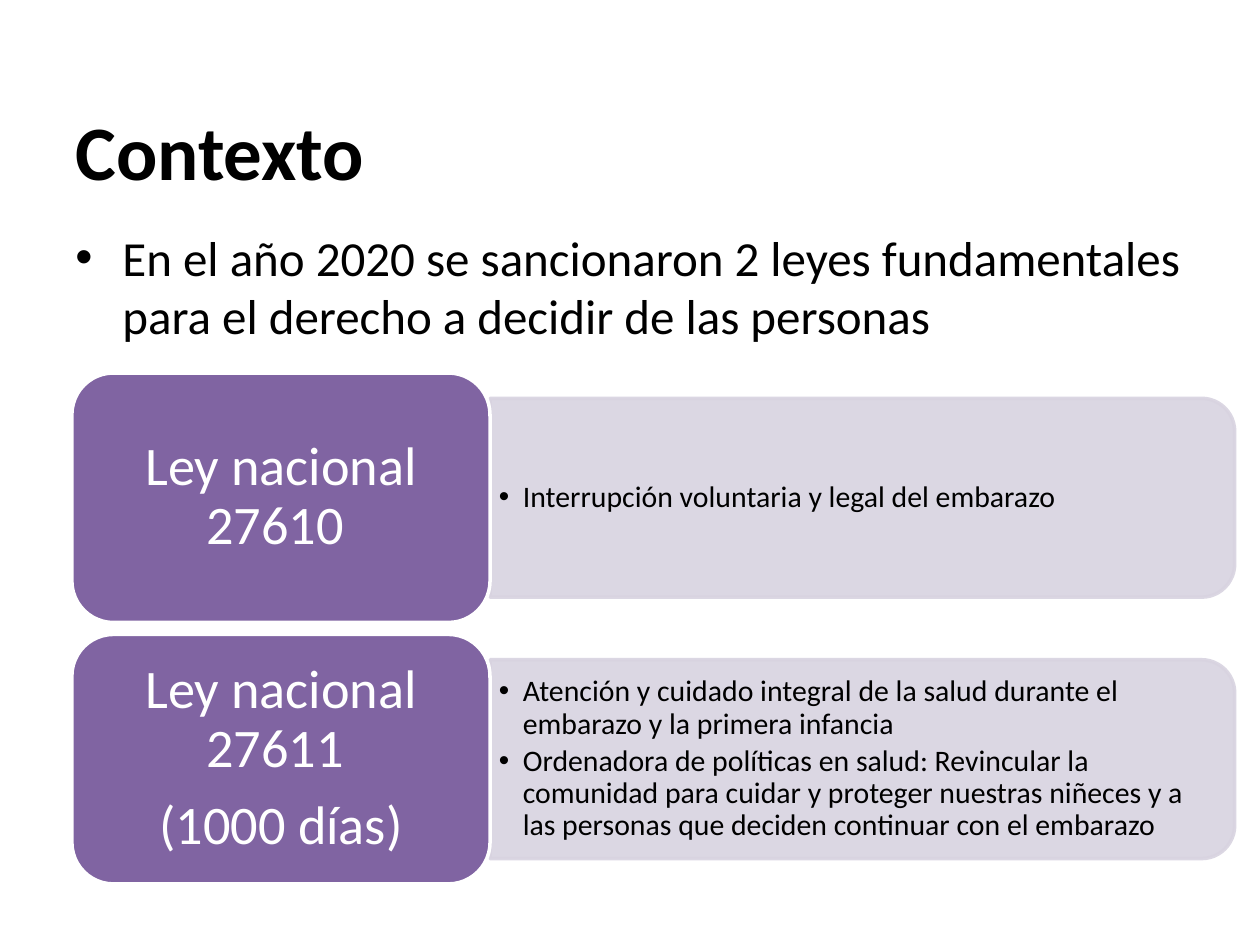
from lxml.etree import SubElement
from pptx import Presentation
from pptx.dml.color import RGBColor
from pptx.enum.shapes import MSO_SHAPE as Shape
from pptx.enum.text import MSO_ANCHOR as Anchor, PP_ALIGN as Align
from pptx.oxml.ns import qn
from pptx.util import Cm, Pt

PURPLE, LILAC, WHITE, BLACK = "8064A2", "D8D3E0", "FFFFFF", "000000"


def paint(target, color, opacity=100):
    """Give a fill or a font a solid colour."""
    fill = getattr(target, "fill", target)
    fill.solid()
    fill.fore_color.rgb = RGBColor.from_string(color)
    if opacity < 100:
        for element in shape._element.spPr.iter(qn("a:srgbClr")):
            if len(element) == 0:
                SubElement(element, qn("a:alpha"), val=str(opacity * 1000))


def add_text(box, texts, size, color=BLACK, bold=False, anchor=Anchor.MIDDLE,
             insets=(0.25, 0.13), align=Align.LEFT, indent=0, before=0, after=0, spacing=1.0):
    """Add a wrapped text box; an indent in cm makes bulleted paragraphs."""
    frame = slide.shapes.add_textbox(*map(Cm, box)).text_frame
    frame.word_wrap = True
    frame.vertical_anchor = anchor
    frame.margin_left = frame.margin_right = Cm(insets[0])
    frame.margin_top = frame.margin_bottom = Cm(insets[1])
    for number, text in enumerate(texts):
        paragraph = frame.add_paragraph() if number else frame.paragraphs[0]
        paragraph.text = text
        paragraph.alignment = align
        paragraph.line_spacing = spacing
        paragraph.space_before, paragraph.space_after = Pt(before), Pt(after)
        paragraph.font.name, paragraph.font.size = "Calibri", Pt(size)
        paragraph.font.bold = bold
        paint(paragraph.font, color)
        if indent:
            properties = paragraph._p.get_or_add_pPr()
            properties.set("marL", str(Cm(indent)))
            properties.set("indent", str(-Cm(indent)))
            bullet_font = SubElement(properties, qn("a:buFont"), typeface="Arial")
            bullet = SubElement(properties, qn("a:buChar"), char="•")
            default_font = properties.find(qn("a:defRPr"))
            default_font.addprevious(bullet_font)
            default_font.addprevious(bullet)


presentation = Presentation()
presentation.slide_width, presentation.slide_height = Cm(25.4), Cm(19.05)
slide = presentation.slides.add_slide(presentation.slide_layouts[6])

# Title and introduction
add_text((1.27, 1.73, 22.86, 2.59), ["Contexto"], 44, bold=True)
add_text((1.27, 4.45, 22.86, 12.57),
         ["En el año 2020 se sancionaron 2 leyes fundamentales para el derecho a decidir "
          "de las personas"],
         28, anchor=Anchor.TOP, indent=0.95, before=5.6)

# One row per law: name on the left, contents on the right
laws = [
    (["Ley nacional 27610 "],
     ["Interrupción voluntaria y legal del embarazo"]),
    (["Ley nacional 27611 ", "(1000 días)"],
     ["Atención y cuidado integral de la salud durante el embarazo y la primera infancia",
      "Ordenadora de políticas en salud: Revincular la comunidad para cuidar y proteger "
      "nuestras niñeces y a las personas que deciden continuar con el embarazo"]),
]
LEFT, FIRST_TOP, ROW_STEP = 1.45, 7.52, 5.27
NAME_WIDTH, NAME_HEIGHT = 8.43, 5.03
BAR_LENGTH, BAR_HEIGHT = 15.01, 4.01
bar_left = LEFT + NAME_WIDTH

for row, (name, contents) in enumerate(laws):
    top = FIRST_TOP + row * ROW_STEP
    middle = top + NAME_HEIGHT / 2

    # Contents bar, turned so that its rounded end points right
    shape = slide.shapes.add_shape(
        Shape.ROUND_2_SAME_RECTANGLE,
        Cm(bar_left + (BAR_LENGTH - BAR_HEIGHT) / 2), Cm(middle - BAR_LENGTH / 2),
        Cm(BAR_HEIGHT), Cm(BAR_LENGTH))
    shape.rotation = 90
    shape.shadow.inherit = False
    shape.line.width = Pt(2)
    paint(shape, LILAC, 90)
    paint(shape.line, LILAC, 90)
    add_text((bar_left, middle - 1.81, 14.81, 3.62), contents, 17,
             insets=(0.18, 0.1), indent=0.48, after=3, spacing=0.9)

    # Name of the law
    shape = slide.shapes.add_shape(Shape.ROUNDED_RECTANGLE, Cm(LEFT), Cm(top),
                                   Cm(NAME_WIDTH), Cm(NAME_HEIGHT))
    shape.shadow.inherit = False
    shape.line.width = Pt(2)
    paint(shape, PURPLE)
    paint(shape.line, WHITE)
    add_text((LEFT + 0.25, top + 0.25, NAME_WIDTH - 0.5, NAME_HEIGHT - 0.5), name, 31,
             WHITE, insets=(0.33, 0.16), align=Align.CENTER, after=10.5, spacing=0.9)

presentation.save("out.pptx")
